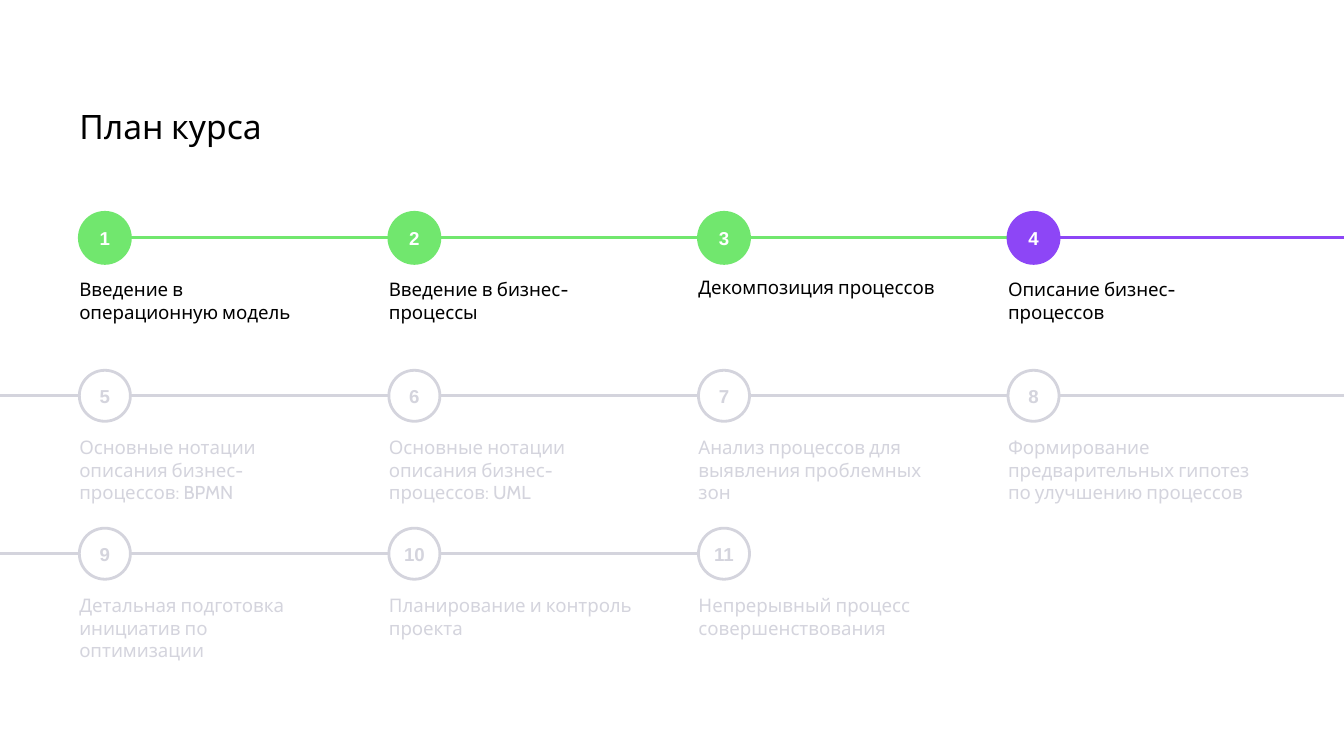
from typing import NamedTuple

from lxml import etree
from pptx import Presentation
from pptx import util as u
from pptx.dml.color import RGBColor
from pptx.enum import shapes, text
from pptx.oxml import ns

BLACK = RGBColor(0x00, 0x00, 0x00)
WHITE = RGBColor(0xFF, 0xFF, 0xFF)
GREEN = RGBColor(0x71, 0xE7, 0x6E)
VIOLET = RGBColor(0x8D, 0x46, 0xF6)
GREY = RGBColor(0xD4, 0xD4, 0xDD)

# Grid, in inches, on a 16:9 slide
WIDTH = 10
HEIGHT = WIDTH * 9 / 16
LEFT, TOP = 0.59, 1.58
COLS, ROWS = 4, 3
COL = (7.5 - LEFT) / (COLS - 1)
ROW = (3.93 - TOP) / (ROWS - 1)
SIZE = 0.38


class Tone(NamedTuple):
    fill: RGBColor
    line: RGBColor
    digit: RGBColor
    label: RGBColor


class Step(NamedTuple):
    label: str
    tone: Tone


DONE = Tone(GREEN, GREEN, WHITE, BLACK)
NOW = Tone(VIOLET, VIOLET, WHITE, BLACK)
NEXT = Tone(WHITE, GREY, GREY, GREY)

STEPS = [
    Step("Введение в операционную модель", DONE),
    Step("Введение в бизнес-процессы", DONE),
    Step("Декомпозиция процессов", DONE),
    Step("Описание бизнес-процессов", NOW),
    Step("Основные нотации описания бизнес-процессов: BPMN", NEXT),
    Step("Основные нотации описания бизнес-процессов: UML", NEXT),
    Step("Анализ процессов для выявления проблемных зон", NEXT),
    Step("Формирование предварительных гипотез по улучшению процессов", NEXT),
    Step("Детальная подготовка инициатив по оптимизации", NEXT),
    Step("Планирование и контроль проекта", NEXT),
    Step("Непрерывный процесс совершенствования", NEXT),
]


def add_run(para, words: str, font: str, size: float, color: RGBColor,
            bold: bool = False) -> None:
    run = para.add_run()
    run.text = words
    run.font.name = font
    run.font.size = u.Pt(size)
    run.font.bold = bold
    run.font.color.rgb = color


def set_frame(frame, left: float, top: float, right: float, bottom: float) -> None:
    frame.word_wrap = True
    frame.margin_left, frame.margin_top = u.Inches(left), u.Inches(top)
    frame.margin_right, frame.margin_bottom = u.Inches(right), u.Inches(bottom)


def add_label(slide, x: float, y: float, wide: float, high: float, words: str,
              size: float, color: RGBColor, pad: float) -> None:
    box = slide.shapes.add_textbox(*map(u.Inches, (x, y, wide, high)))
    frame = box.text_frame
    set_frame(frame, 0, pad, pad, pad)
    frame.vertical_anchor = text.MSO_ANCHOR.TOP
    add_run(frame.paragraphs[0], words, "Cabin", size, color)


def add_line(slide, start: float, end: float, y: float, color: RGBColor) -> None:
    line = slide.shapes.add_connector(
        shapes.MSO_CONNECTOR.STRAIGHT, *map(u.Inches, (start, y, end, y)))
    line.line.color.rgb = color
    line.line.width = u.Pt(1.5)
    etree.SubElement(line._element.spPr, ns.qn("a:effectLst"))


def add_dot(slide, x: float, y: float, digit: str, tone: Tone) -> None:
    dot = slide.shapes.add_shape(
        shapes.MSO_SHAPE.OVAL, *map(u.Inches, (x, y, SIZE, SIZE)))
    dot.shadow.inherit = False
    dot.fill.solid()
    dot.fill.fore_color.rgb = tone.fill
    dot.line.color.rgb = tone.line
    dot.line.width = u.Pt(1.5)
    frame = dot.text_frame
    set_frame(frame, 0, 0, 0, 0)
    frame.vertical_anchor = text.MSO_ANCHOR.MIDDLE
    para = frame.paragraphs[0]
    para.alignment = text.PP_ALIGN.CENTER
    add_run(para, digit, "Arial", 10, tone.digit, True)


def add_step(slide, index: int, step: Step) -> None:
    row, col = divmod(index, COLS)
    x, y = LEFT + col * COL, TOP + row * ROW
    mid = y + SIZE / 2
    # Line coming in from the row above
    if row and not col:
        add_line(slide, 0, x, mid, step.tone.line)
    # Line to the next step, or to the slide edge
    if index < len(STEPS) - 1:
        end = WIDTH if col == COLS - 1 else x + COL
        add_line(slide, x + SIZE, end, mid, step.tone.line)
    add_dot(slide, x, y, str(index + 1), step.tone)
    add_label(slide, x, y + 0.39, 1.91, 0.37, step.label, 10, step.tone.label, 0.1)


def main() -> None:
    deck = Presentation()
    deck.slide_width, deck.slide_height = u.Inches(WIDTH), u.Inches(HEIGHT)
    slide = deck.slides.add_slide(deck.slide_layouts[6])

    # Title
    add_label(slide, LEFT, 0.79, 8.82, 0.35, "План курса", 18, BLACK, 0)

    # Course steps
    for index, step in enumerate(STEPS):
        add_step(slide, index, step)

    deck.save("out.pptx")


if __name__ == "__main__":
    main()
